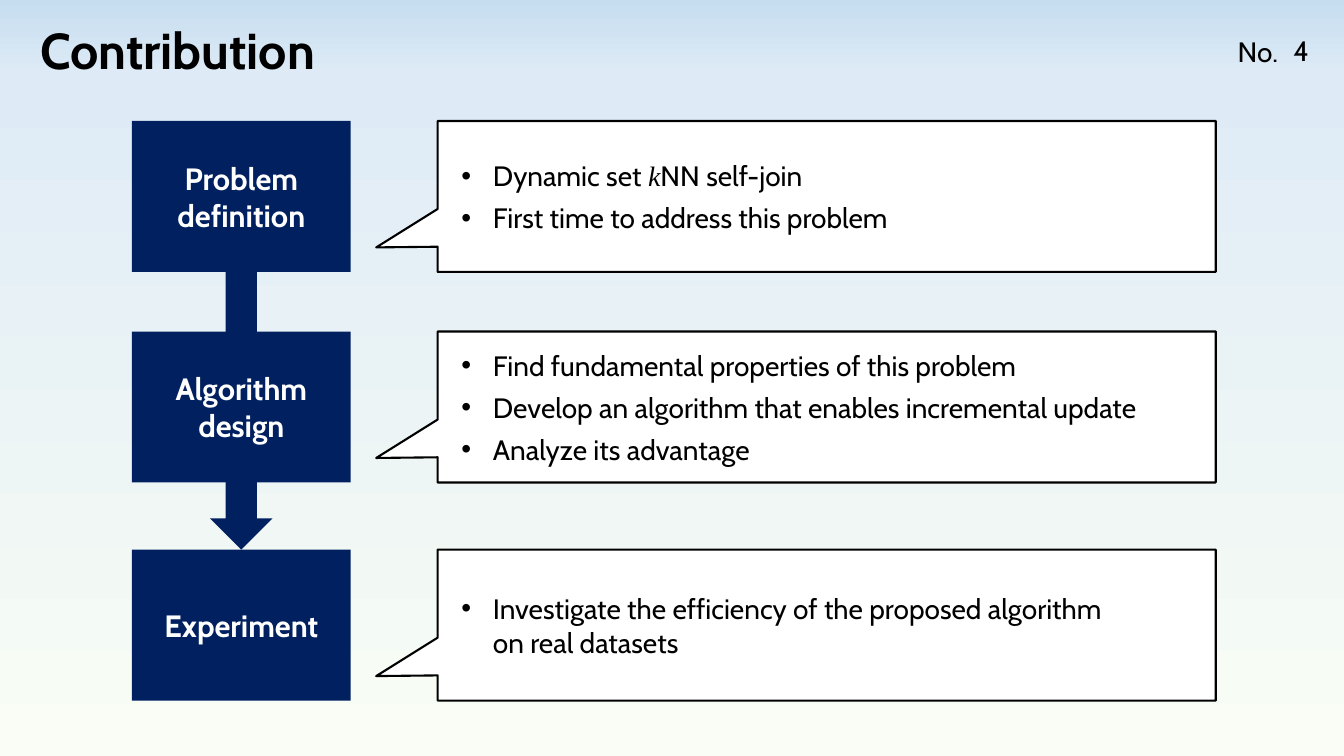
from copy import deepcopy

from lxml import etree
from pptx import Presentation
from pptx.dml.color import RGBColor
from pptx.enum.shapes import MSO_SHAPE
from pptx.enum.text import MSO_ANCHOR, MSO_AUTO_SIZE, PP_ALIGN
from pptx.oxml.ns import qn
from pptx.util import Pt

COLORS = {
    "navy": "002060",
    "black": "000000",
    "white": "FFFFFF",
    "cream": "F9FDF5",
    "pale": "DEEBF6",
    "sky": "C6DDF0",
}
FONT = "Cabin"
STEP_HEIGHT = 107.8
STEPS = [
    (86.4, "Problem definition", 6,
     ["Dynamic set *k*NN self-join", "First time to address this problem"]),
    (236.8, "Algorithm design", 6,
     ["Find fundamental properties of this problem",
      "Develop an algorithm that enables incremental update",
      "Analyze its advantage"]),
    (392.6, "Experiment", 0,
     ["Investigate the efficiency of the proposed algorithm\non real datasets"]),
]


def rgb(name):
    return RGBColor.from_string(COLORS[name])


def style_run(r, size, color="black", bold=False, font=FONT):
    r.font.size = Pt(size)
    r.font.name = font
    r.font.bold = bold
    r.font.color.rgb = rgb(color)


def set_frame(tf, left=0, top=0, right=0, bottom=0, anchor=MSO_ANCHOR.MIDDLE):
    tf.word_wrap = True
    tf.auto_size = MSO_AUTO_SIZE.NONE
    tf.vertical_anchor = anchor
    tf.margin_left, tf.margin_top = Pt(left), Pt(top)
    tf.margin_right, tf.margin_bottom = Pt(right), Pt(bottom)


def place(sp, left, top, width, height):
    sp.left, sp.top, sp.width, sp.height = Pt(left), Pt(top), Pt(width), Pt(height)


def set_background(s):
    fill = s.background.fill
    fill.gradient()
    fill.gradient_angle = 90
    stops = s.element.find(".//" + qn("a:gsLst"))
    stops.append(deepcopy(stops[-1]))
    ramp = [(0, "cream"), (0.9, "pale"), (1, "sky")]
    for stop, (position, color) in zip(fill.gradient_stops, ramp):
        stop.position = position
        stop.color.rgb = rgb(color)


def set_title(s, text):
    sp = s.shapes.title
    place(sp, 25.9, 10, 933.8, 55.4)
    tf = sp.text_frame
    tf.text = text
    set_frame(tf, left=2.9, right=2.9)
    p = tf.paragraphs[0]
    p.alignment = PP_ALIGN.LEFT
    p.line_spacing = 0.9
    style_run(p.runs[0], 36, bold=True)


def add_label(s, text, left, top, width, height, anchor):
    sp = s.shapes.add_textbox(Pt(left), Pt(top), Pt(width), Pt(height))
    tf = sp.text_frame
    tf.text = text
    set_frame(tf, anchor=anchor)
    p = tf.paragraphs[0]
    p.alignment = PP_ALIGN.CENTER
    style_run(p.runs[0], 20)


def add_filled(s, kind, left, top, width, height, color):
    sp = s.shapes.add_shape(kind, Pt(left), Pt(top), Pt(width), Pt(height))
    sp.shadow.inherit = False
    sp.fill.solid()
    sp.fill.fore_color.rgb = rgb(color)
    sp.line.fill.background()
    return sp


def add_step(s, top, text):
    sp = add_filled(s, MSO_SHAPE.RECTANGLE, 94.3, top, 156.2, STEP_HEIGHT, "navy")
    tf = sp.text_frame
    tf.text = text
    set_frame(tf, 7.2, 3.6, 7.2, 3.6)
    p = tf.paragraphs[0]
    p.alignment = PP_ALIGN.CENTER
    style_run(p.runs[0], 22, "white", bold=True)


def add_bullet(p, text, space):
    p.alignment = PP_ALIGN.LEFT
    p.space_before = Pt(space)
    ppr = p._p.get_or_add_pPr()
    ppr.set("marL", str(Pt(22.5)))
    ppr.set("indent", str(Pt(-22.5)))
    etree.SubElement(ppr, qn("a:buFont")).set("typeface", "Arial")
    etree.SubElement(ppr, qn("a:buChar")).set("char", "•")
    first, *rest = text.split("*")
    p.text = first
    for part in rest:
        p.add_run().text = part
    for r in p.runs:
        style_run(r, 20)
    if rest:
        variable = p.runs[1]
        variable.font.name = "Times New Roman"
        variable.font.italic = True


def add_callout(s, top, lines, space):
    sp = add_filled(s, MSO_SHAPE.RECTANGULAR_CALLOUT, 312.6, top, 555.8,
                    STEP_HEIGHT, "white")
    sp.adjustments[0] = -0.579
    sp.adjustments[1] = 0.338
    sp.line.color.rgb = rgb("black")
    sp.line.width = Pt(1.5)
    tf = sp.text_frame
    set_frame(tf, 17, 2.8, 2.8, 2.8)
    for i, line in enumerate(lines):
        p = tf.add_paragraph() if i else tf.paragraphs[0]
        add_bullet(p, line, space)


def main():
    prs = Presentation()
    prs.slide_width, prs.slide_height = Pt(960), Pt(540)
    s = prs.slides.add_slide(prs.slide_layouts[5])
    set_background(s)
    set_title(s, "Contribution")
    add_label(s, "No.", 882.7, 24.5, 31.7, 24.5, MSO_ANCHOR.TOP)
    add_label(s, "4", 912.2, 23, 34.6, 25.2, MSO_ANCHOR.MIDDLE)
    arrow_top, arrow_end = STEPS[0][0] + STEP_HEIGHT, STEPS[-1][0]
    add_filled(s, MSO_SHAPE.DOWN_ARROW, 150, arrow_top, 44.8,
               arrow_end - arrow_top, "navy")
    for top, name, space, lines in STEPS:
        add_step(s, top, name)
        add_callout(s, top, lines, space)
    prs.save("out.pptx")


if __name__ == "__main__":
    main()
